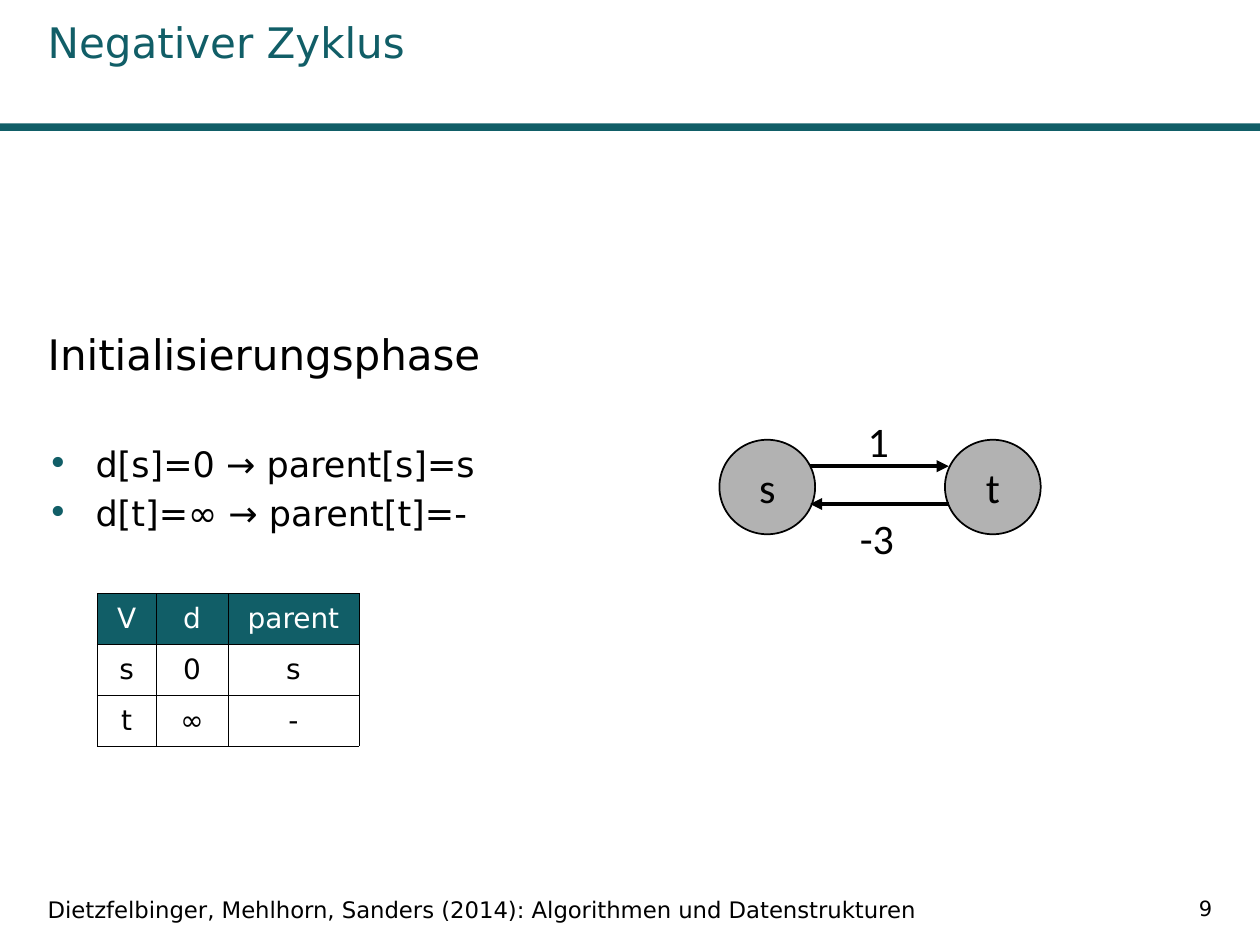
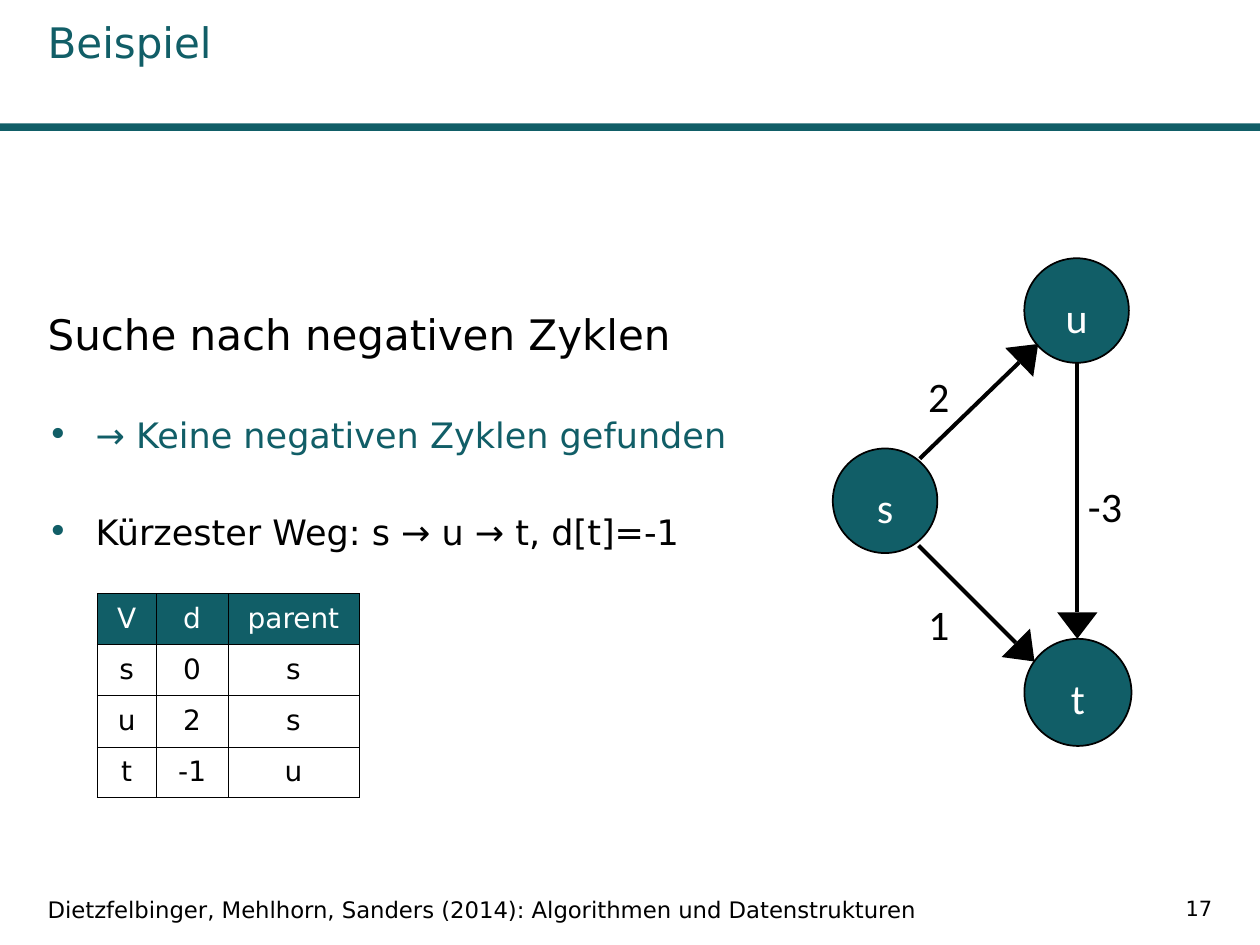
from dataclasses import dataclass
from math import hypot

from lxml.etree import SubElement
from pptx import Presentation
from pptx.dml.color import RGBColor
from pptx.enum.shapes import MSO_CONNECTOR, MSO_SHAPE
from pptx.enum.text import MSO_ANCHOR, PP_ALIGN
from pptx.oxml.ns import qn
from pptx.util import Inches, Pt


@dataclass(frozen=True)
class Theme:
    teal: str = "115E67"
    gray: str = "B2B2B2"
    black: str = "000000"
    white: str = "FFFFFF"
    sans: str = "DejaVu Sans"
    node: str = "Calibri"
    head: int = 24
    body: int = 20
    cell: int = 16
    foot: int = 13
    page: int = 12


T = Theme()

# Content
SOURCE = "Dietzfelbinger, Mehlhorn, Sanders (2014): Algorithmen und Datenstrukturen"
HEADER = ("V", "d", "parent")
COLS = (0.47, 0.57, 1.04)

# bullets: text, colour, space before
# nodes: name, left, top, width, height; edges: start, tip; weights: text, centre
SLIDES = [
    dict(
        title="Negativer Zyklus", page="9", drop=0.95,
        head="Initialisierungsphase",
        bullets=[("d[s]=0 → parent[s]=s", T.black, 36),
                 ("d[t]=∞ → parent[t]=-", T.black, 4)],
        rows=[("s", "0", "s"), ("t", "∞", "-")],
        fill=T.gray, ink=T.black, sink=0, big=False,
        nodes=[("s", 5.71, 3.49, 0.76, 0.75), ("t", 7.5, 3.49, 0.76, 0.75)],
        edges=[((6.43, 3.7), (7.53, 3.7)), ((7.53, 4), (6.43, 4))],
        weights=[("1", 6.97, 3.5), ("-3", 6.96, 4.27)],
    ),
    dict(
        title="Beispiel", page="17", drop=0.79,
        head="Suche nach negativen Zyklen",
        bullets=[("→ Keine negativen Zyklen gefunden", T.teal, 31.3),
                 ("Kürzester Weg: s → u → t, d[t]=-1", T.black, 31.3)],
        rows=[("s", "0", "s"), ("u", "2", "s"), ("t", "-1", "u")],
        fill=T.teal, ink=T.white, sink=0.09, big=True,
        nodes=[("s", 6.61, 3.56, 0.83, 0.83), ("t", 8.13, 5.07, 0.85, 0.85),
               ("u", 8.13, 2.05, 0.83, 0.83)],
        edges=[((7.3, 3.64), (8.24, 2.73)), ((7.29, 4.33), (8.21, 5.25)),
               ((8.55, 2.88), (8.55, 5.07))],
        weights=[("-3", 8.77, 4.01), ("2", 7.45, 3.14), ("1", 7.45, 4.95)],
    ),
]


# Basic parts
def rgb(code):
    return RGBColor.from_string(code)


def paint(shape, fill, line=None):
    shape.shadow.inherit = False
    shape.fill.solid()
    shape.fill.fore_color.rgb = rgb(fill)
    if line:
        shape.line.color.rgb = rgb(line)
        shape.line.width = Pt(1)
    else:
        shape.line.fill.background()


def style(para, size, color, face=T.sans, align=PP_ALIGN.LEFT):
    para.alignment = align
    font = para.font
    font.size, font.name = Pt(size), face
    font.color.rgb = rgb(color)


def inset(frame, left, top, right, bottom):
    frame.margin_left, frame.margin_top = Inches(left), Inches(top)
    frame.margin_right, frame.margin_bottom = Inches(right), Inches(bottom)


def text(slide, words, box, size, color, **look):
    frame = slide.shapes.add_textbox(*map(Inches, box)).text_frame
    frame.word_wrap = True
    para = frame.paragraphs[0]
    para.text = words
    style(para, size, color, **look)
    return frame


def bullet(para):
    props = para._p.get_or_add_pPr()
    props.set("marL", str(Inches(0.38)))
    props.set("indent", str(-Inches(0.38)))
    tint = SubElement(props, qn("a:buClr"))
    SubElement(tint, qn("a:srgbClr"), val=T.teal)
    SubElement(props, qn("a:buFont"), typeface=T.sans)
    SubElement(props, qn("a:buChar"), char="•")


# Shared frame: band, title, footer, page number
def frame_up(slide, data):
    band = slide.shapes.add_shape(
        MSO_SHAPE.RECTANGLE, 0, Inches(0.98), Inches(10), Inches(0.06))
    paint(band, T.teal)
    text(slide, data["title"], (0.28, 0.08, 5.98, 0.79), T.head, T.teal)
    text(slide, SOURCE, (0.28, 7.06, 7.68, 0.31), T.foot, T.black)
    text(slide, data["page"], (8.15, 7.06, 1.57, 0.31), T.page, T.black,
         align=PP_ALIGN.RIGHT)


def add_body(slide, data):
    frame = text(slide, data["head"], (0.28, 1.66, 9.45, 4.25), T.head, T.black)
    inset(frame, 0.1, data["drop"], 0.1, 0.05)
    for words, color, gap in data["bullets"]:
        para = frame.add_paragraph()
        para.text = words
        para.space_before = Pt(gap)
        bullet(para)
        style(para, T.body, color)


# Table of distances and parents
def edge_cell(cell):
    props = cell._tc.get_or_add_tcPr()
    for side in "LRTB":
        line = SubElement(props, qn(f"a:ln{side}"), w="762")
        fill = SubElement(line, qn("a:solidFill"))
        SubElement(fill, qn("a:srgbClr"), val=T.black)


def add_grid(slide, rows):
    rows = [HEADER, *rows]
    highs = [0.4] + [0.41] * (len(rows) - 2) + [0.4]
    box = (0.77, 4.71, sum(COLS), sum(highs))
    grid = slide.shapes.add_table(
        len(rows), len(COLS), *map(Inches, box)).table
    grid.first_row = grid.horz_banding = False
    for col, wide in zip(grid.columns, COLS):
        col.width = Inches(wide)
    for r, (row, high) in enumerate(zip(rows, highs)):
        grid.rows[r].height = Inches(high)
        fill, ink = (T.white, T.black) if r else (T.teal, T.white)
        for c, words in enumerate(row):
            cell = grid.cell(r, c)
            edge_cell(cell)
            cell.fill.solid()
            cell.fill.fore_color.rgb = rgb(fill)
            cell.vertical_anchor = MSO_ANCHOR.MIDDLE
            para = cell.text_frame.paragraphs[0]
            para.text = words
            style(para, T.cell, ink, align=PP_ALIGN.CENTER)


# Graph
def add_node(slide, name, box, data):
    node = slide.shapes.add_shape(MSO_SHAPE.OVAL, *map(Inches, box))
    paint(node, data["fill"], T.black)
    frame = node.text_frame
    inset(frame, 0, data["sink"], 0, 0)
    frame.vertical_anchor = MSO_ANCHOR.MIDDLE
    frame.paragraphs[0].text = name
    style(frame.paragraphs[0], T.head, data["ink"], T.node, PP_ALIGN.CENTER)


def add_tip(slide, tip, base, unit, half=0.16):
    (x, y), (ux, uy) = base, unit
    wings = [(x - uy * half, y + ux * half), (x + uy * half, y - ux * half)]
    points = [(Inches(a), Inches(b)) for a, b in wings]
    path = slide.shapes.build_freeform(Inches(tip[0]), Inches(tip[1]))
    path.add_line_segments(points)
    paint(path.convert_to_shape(), T.black)


def add_edge(slide, start, tip, big):
    end = tip
    if big:
        dx, dy = tip[0] - start[0], tip[1] - start[1]
        size = hypot(dx, dy)
        unit = (dx / size, dy / size)
        end = (tip[0] - 0.21 * unit[0], tip[1] - 0.21 * unit[1])
        add_tip(slide, tip, end, unit)
    line = slide.shapes.add_connector(
        MSO_CONNECTOR.STRAIGHT, *map(Inches, (*start, *end)))
    line.line.color.rgb = rgb(T.black)
    line.line.width = Pt(2.3)
    if not big:
        SubElement(line.line._get_or_add_ln(), qn("a:tailEnd"), type="triangle")
    SubElement(line._element.spPr, qn("a:effectLst"))


def add_graph(slide, data):
    for name, *box in data["nodes"]:
        add_node(slide, name, box, data)
    for start, tip in data["edges"]:
        add_edge(slide, start, tip, data["big"])
    for words, x, y in data["weights"]:
        frame = text(slide, words, (x - 0.25, y - 0.23, 0.5, 0.46), T.head,
                     T.black, face=T.node, align=PP_ALIGN.CENTER)
        inset(frame, 0, 0, 0, 0)
        frame.vertical_anchor = MSO_ANCHOR.MIDDLE


def main():
    deck = Presentation()
    deck.slide_width, deck.slide_height = Inches(10), Inches(7.5)
    for data in SLIDES:
        slide = deck.slides.add_slide(deck.slide_layouts[6])
        frame_up(slide, data)
        add_body(slide, data)
        add_grid(slide, data["rows"])
        add_graph(slide, data)
    deck.save("out.pptx")


if __name__ == "__main__":
    main()
